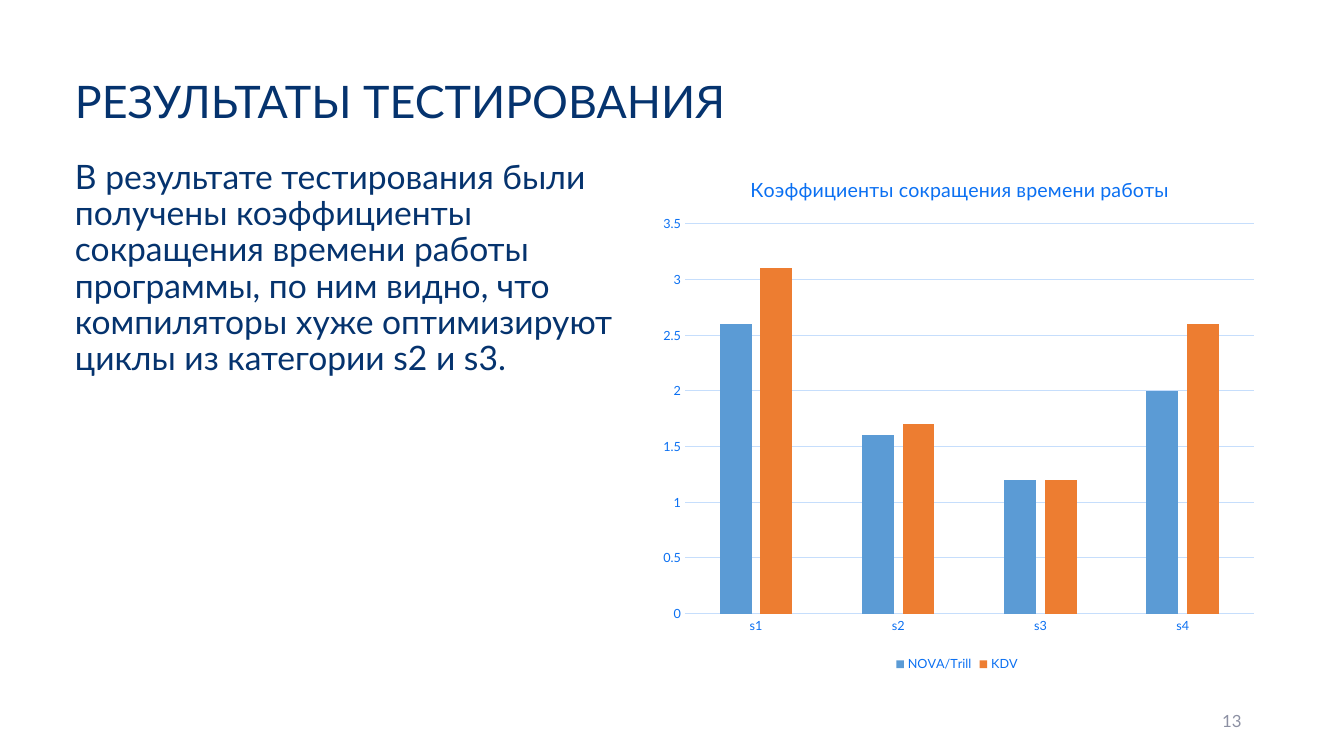
from lxml import etree
from pptx import Presentation
from pptx.chart.data import CategoryChartData as ChartData
from pptx.dml.color import RGBColor
from pptx.enum.chart import XL_CHART_TYPE as ChartType
from pptx.enum.chart import XL_LEGEND_POSITION as LegendPosition
from pptx.enum.chart import XL_TICK_MARK as TickMark
from pptx.enum.text import MSO_ANCHOR as Anchor
from pptx.enum.text import PP_ALIGN as Align
from pptx.oxml.ns import qn
from pptx.util import Pt

PX = 9525
NAVY, BLUE, PALE, GRAY = "05336E", "0B70F2", "C6DEFC", "8C90A3"


def style_font(font, size, color):
    font.name = "Lato"
    font.size = Pt(size)
    font.bold = False
    font.color.rgb = RGBColor.from_string(color)


def place(parent, index, **fractions):
    for old in parent.findall(qn("c:layout")):
        parent.remove(old)
    layout = etree.Element(qn("c:layout"))
    manual = etree.SubElement(layout, qn("c:manualLayout"))
    for tag, value in fractions.items():
        etree.SubElement(manual, qn(f"c:{tag}")).set("val", str(value))
    parent.insert(index, layout)


deck = Presentation()
deck.slide_width, deck.slide_height = 1280 * PX, 720 * PX
page = deck.slides.add_slide(deck.slide_layouts[6])

texts = [
    ("РЕЗУЛЬТАТЫ ТЕСТИРОВАНИЯ", (62, 57, 830, 77), 32, NAVY, Anchor.MIDDLE, Align.LEFT, 1),
    ("В результате тестирования были получены коэффициенты сокращения времени "
     "работы программы, по ним видно, что компиляторы хуже оптимизируют циклы "
     "из категории s2 и s3.", (62, 148, 533, 495), 24, NAVY, Anchor.TOP, Align.LEFT, 0.9),
    ("13", (904, 667, 288, 38), 12, GRAY, Anchor.MIDDLE, Align.RIGHT, 1),
]
for text, area, size, color, anchor, align, spacing in texts:
    box = page.shapes.add_textbox(*(length * PX for length in area))
    frame = box.text_frame
    frame.word_wrap = True
    frame.vertical_anchor = anchor
    para = frame.paragraphs[0]
    para.text = text
    para.alignment = align
    para.line_spacing = spacing
    style_font(para.font, size, color)

data = ChartData()
data.categories = ["s1", "s2", "s3", "s4"]
data.add_series("NOVA/Trill", [2.6, 1.6, 1.2, 2])
data.add_series("KDV", [3.1, 1.7, 1.2, 2.6])
chart_area = (length * PX for length in (617, 149, 589, 495))
chart = page.shapes.add_chart(ChartType.COLUMN_CLUSTERED, *chart_area, data).chart
style_font(chart.font, 10, NAVY)

chart.has_title = True
title = chart.chart_title
title.include_in_layout = False
heading = title.text_frame.paragraphs[0]
heading.text = "Коэффициенты сокращения времени работы"
style_font(heading.font, 14, BLUE)
place(title._element, 1, xMode="edge", yMode="edge", x=0.16, y=0.03)

chart.has_legend = True
chart.legend.position = LegendPosition.BOTTOM
chart.legend.include_in_layout = False
style_font(chart.legend.font, 9, BLUE)

plot = chart.plots[0]
plot.vary_by_categories = False
plot.gap_width = 219
plot.overlap = -27
for series, color in zip(plot.series, ("5B9BD5", "ED7D31")):
    series.format.fill.solid()
    series.format.fill.fore_color.rgb = RGBColor.from_string(color)

category_axis, value_axis = chart.category_axis, chart.value_axis
for axis in (category_axis, value_axis):
    axis.major_tick_mark = axis.minor_tick_mark = TickMark.NONE
    style_font(axis.tick_labels.font, 9, BLUE)
value_axis.minimum_scale, value_axis.maximum_scale = 0, 3.5
value_axis.major_unit = 0.5
value_axis.has_major_gridlines = True
value_axis.format.line.fill.background()
for line in (category_axis.format.line, value_axis.major_gridlines.format.line):
    line.color.rgb = RGBColor.from_string(PALE)
    line.width = Pt(0.75)

plot_area = chart._chartSpace.find(f".//{qn('c:plotArea')}")
place(plot_area, 0, layoutTarget="inner", xMode="edge", yMode="edge",
      x=0.06, y=0.13, w=0.92, h=0.75)

deck.save("out.pptx")
